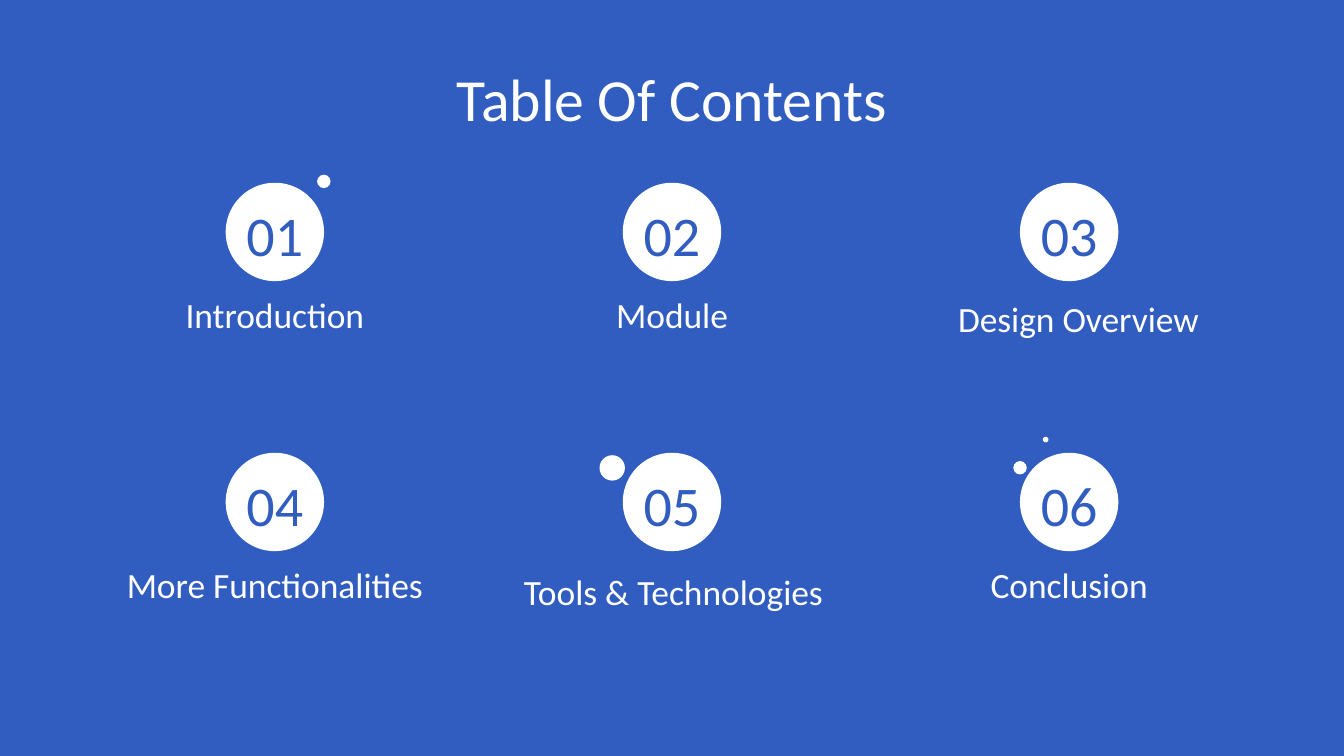
from pptx import Presentation
from pptx.dml.color import RGBColor
from pptx.enum.shapes import MSO_SHAPE as Shape
from pptx.enum.text import MSO_ANCHOR as Anchor, PP_ALIGN as Align
from pptx.util import Pt

BLUE, WHITE = "305DBF", "FFFFFF"
FONT = "Calibri"
INSET = 7.2
CENTER_X, COLUMN_STEP = 360, 212.75
ROW_TOPS = (97.9, 242.6)
CIRCLE = 52.7
LABEL_WIDTH, LABEL_HEIGHT = 190.8, 34
LABEL_GAP = 51.8

# label, right shift, down shift
ENTRIES = (
    ("Introduction", 0, 0),
    ("Module", 0, 0),
    ("Design Overview", 5, 2.2),
    ("More Functionalities", 0, 0),
    ("Tools & Technologies ", 2.9, 3.6),
    ("Conclusion", 0, 0),
)
DOTS = ((169.9, 93.6, 7.2), (542.9, 247, 7.2), (558.7, 234, 3), (321.2, 243.9, 13.6))


def color(value):
    """Return the colour for a hex string."""
    return RGBColor.from_string(value)


def add_circle(slide, left, top, size):
    """Add a plain white circle."""
    shape = slide.shapes.add_shape(Shape.OVAL, Pt(left), Pt(top), Pt(size), Pt(size))
    shape.shadow.inherit = False
    shape.fill.solid()
    shape.fill.fore_color.rgb = color(WHITE)
    shape.line.fill.background()


def write(shape, text, size, hex_color, anchor=Anchor.TOP):
    """Set centred one-run text in a shape."""
    frame = shape.text_frame
    frame.text = text
    frame.word_wrap = True
    frame.vertical_anchor = anchor
    frame.margin_left = frame.margin_right = Pt(INSET)
    frame.margin_top = frame.margin_bottom = Pt(INSET)
    paragraph = frame.paragraphs[0]
    paragraph.alignment = Align.CENTER
    paragraph.line_spacing = 1.0
    font = paragraph.runs[0].font
    font.name, font.size = FONT, Pt(size)
    font.color.rgb = color(hex_color)


def add_title(slide, text):
    """Place and fill the title placeholder."""
    title = slide.shapes.title
    title.left, title.top, title.width, title.height = Pt(24.5), Pt(25.9), Pt(671), Pt(45.4)
    write(title, text, 32, WHITE)


def add_text(slide, left, top, width, height, *style):
    """Add a text box with the given text style."""
    box = slide.shapes.add_textbox(Pt(left), Pt(top), Pt(width), Pt(height))
    write(box, *style)


def add_entry(slide, index, label, right, down):
    """Add a numbered circle with its label on the three-column grid."""
    row, column = divmod(index, 3)
    center = CENTER_X + (column - 1) * COLUMN_STEP
    top = ROW_TOPS[row]
    left = center - CIRCLE / 2
    add_circle(slide, left, top, CIRCLE)
    add_text(slide, left, top, CIRCLE, CIRCLE, f"{index + 1:02d}", 30, BLUE, Anchor.BOTTOM)
    add_text(slide, center - LABEL_WIDTH / 2 + right, top + LABEL_GAP + down,
             LABEL_WIDTH, LABEL_HEIGHT, label, 19, WHITE)


def main():
    """Build the table of contents slide."""
    presentation = Presentation()
    presentation.slide_width, presentation.slide_height = Pt(720), Pt(405)
    slide = presentation.slides.add_slide(presentation.slide_layouts[5])
    slide.background.fill.solid()
    slide.background.fill.fore_color.rgb = color(BLUE)
    add_title(slide, "Table Of Contents")
    for index, entry in enumerate(ENTRIES):
        add_entry(slide, index, *entry)
    for dot in DOTS:
        add_circle(slide, *dot)
    presentation.save("out.pptx")


if __name__ == "__main__":
    main()
